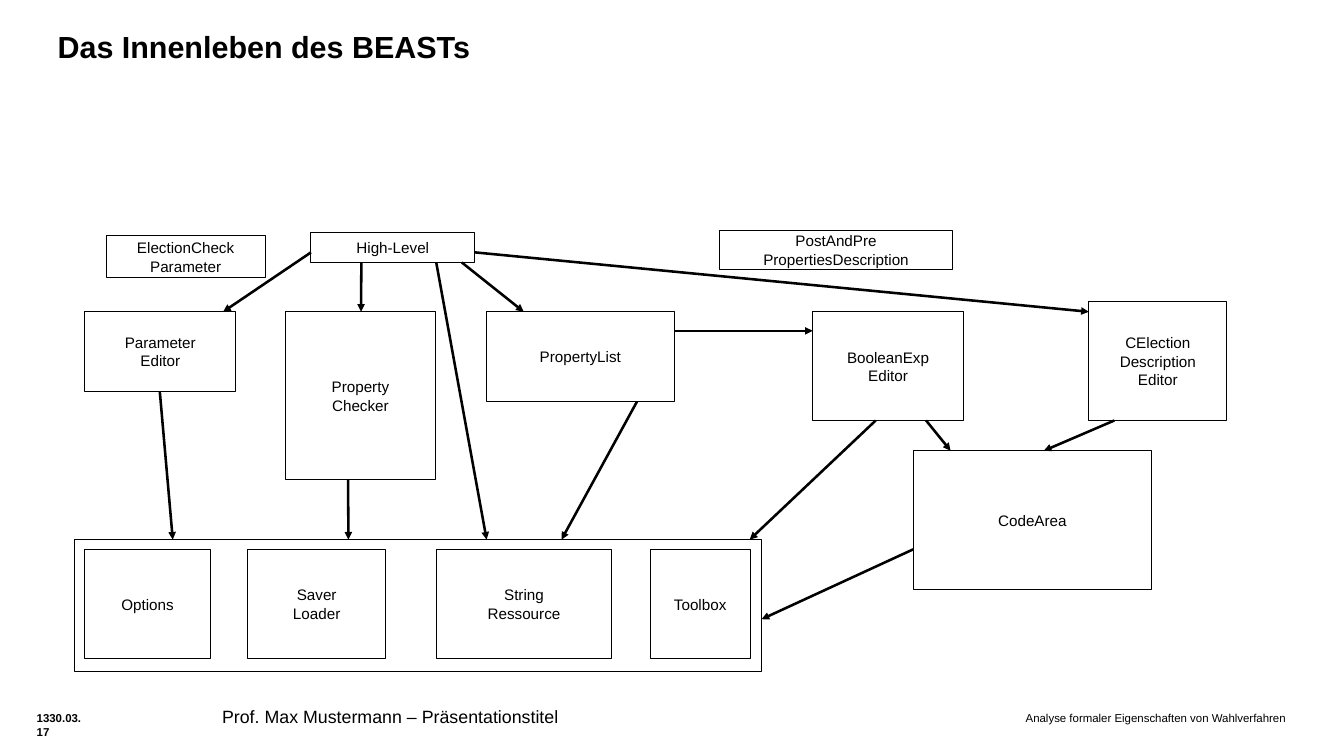
"""Build the slide showing the components of BEAST and their dependencies."""
from pptx import Presentation
from pptx.dml.color import RGBColor
from pptx.enum.shapes import MSO_CONNECTOR, MSO_SHAPE
from pptx.enum.text import MSO_ANCHOR, PP_ALIGN
from pptx.oxml.ns import qn
from pptx.util import Cm, Pt
from lxml import etree

BLACK = RGBColor(0x00, 0x00, 0x00)
WHITE = RGBColor(0xFF, 0xFF, 0xFF)
RECT = MSO_SHAPE.RECTANGLE
STRAIGHT = MSO_CONNECTOR.STRAIGHT
TOP, MIDDLE = MSO_ANCHOR.TOP, MSO_ANCHOR.MIDDLE
LEFT, CENTER, RIGHT = PP_ALIGN.LEFT, PP_ALIGN.CENTER, PP_ALIGN.RIGHT
FONT = "Arial"
ROW, TOOLS = 8.66, 15.27
FRAME = (2.06, 14.99, 19.1, 3.66)

LABELS = [
    ("Analyse formaler Eigenschaften von Wahlverfahren", (24.54, 19.76, 11.18, 1.09), 9, False, RIGHT),
    ("1330.03.17", (1.02, 19.76, 1.32, 0.66), 9, True, LEFT),
    ("Das Innenleben des BEASTs", (1.6, 0.79, 28.22, 1.95), 24, True, LEFT),
    ("Prof. Max Mustermann – Präsentationstitel", (6.17, 19.61, 17.04, 1.09), 14, False, LEFT),
]
BOXES = {
    "high": ("High-Level", (8.64, 6.45, 4.55, 0.84)),
    "parameter": ("Parameter\nEditor", (2.36, ROW, 4.19, 2.21)),
    "checker": ("Property\nChecker", (7.92, ROW, 4.19, 4.67)),
    "list": ("PropertyList", (13.51, ROW, 5.23, 2.49)),
    "options": ("Options", (2.36, TOOLS, 3.48, 3.02)),
    "saver": ("Saver\nLoader", (6.88, TOOLS, 3.84, 3.02)),
    "string": ("String\nRessource", (12.12, TOOLS, 4.88, 3.02)),
    "toolbox": ("Toolbox", (18.06, TOOLS, 2.79, 3.02)),
    "code": ("CodeArea", (25.37, 12.52, 6.63, 3.86)),
    "boolean": ("BooleanExp\nEditor", (22.58, ROW, 4.19, 3.02)),
    "election": ("CElection\nDescription\nEditor", (30.25, 8.38, 3.84, 3.3)),
    "check": ("ElectionCheck\nParameter", (2.95, 6.55, 4.42, 1.17)),
    "post": ("PostAndPre\nPropertiesDescription", (19.99, 6.4, 6.48, 1.09)),
}
ARROWS = [
    (("high", "left", 0.56), ("parameter", "top", 3.84)),
    (("high", "bottom", 1.4), ("checker", "top", 2.11)),
    (("high", "bottom", 4.19), ("list", "top", 1.04)),
    (("list", "right", 0.53), ("boolean", "left", 0.53)),
    (("high", "right", 0.56), ("election", "left", 0.28)),
    (("parameter", "bottom", 2.08), ("frame", "top", 2.74)),
    (("checker", "bottom", 1.75), ("frame", "top", 7.62)),
    (("list", "bottom", 4.19), ("frame", "top", 13.54)),
    (("boolean", "bottom", 1.75), ("frame", "top", 18.77)),
    (("boolean", "bottom", 3.15), ("code", "top", 1.04)),
    (("election", "bottom", 0.71), ("code", "top", 3.63)),
    (("code", "left", 2.74), ("frame", "right", 2.21)),
    (("high", "bottom", 3.48), ("frame", "top", 11.46)),
]


def write(tf, text, size, bold, align, anchor):
    tf.text = text
    tf.word_wrap = True
    tf.vertical_anchor = anchor
    for p in tf.paragraphs:
        p.alignment = align
        for r in p.runs:
            r.font.name, r.font.size, r.font.bold = FONT, Pt(size), bold
            r.font.color.rgb = BLACK


def add_label(s, text, area, size, bold, align):
    tf = s.shapes.add_textbox(*map(Cm, area)).text_frame
    tf.margin_left = tf.margin_top = tf.margin_right = tf.margin_bottom = 0
    write(tf, text, size, bold, align, TOP)


def hairline(line):
    line.color.rgb = BLACK
    line.width = Pt(0)


def add_box(s, area):
    sp = s.shapes.add_shape(RECT, *map(Cm, area))
    sp.shadow.inherit = False
    hairline(sp.line)
    return sp


def edge_point(name, side, offset):
    x, y, w, h = FRAME if name == "frame" else BOXES[name][1]
    points = {
        "left": (x, y + offset),
        "right": (x + w, y + offset),
        "top": (x + offset, y),
        "bottom": (x + offset, y + h),
    }
    return points[side]


def add_arrow(s, start, end):
    ends = edge_point(*start) + edge_point(*end)
    line = s.shapes.add_connector(STRAIGHT, *map(Cm, ends))
    hairline(line.line)
    etree.SubElement(line.line._get_or_add_ln(), qn("a:tailEnd"), type="triangle")
    etree.SubElement(line._element.spPr, qn("a:effectLst"))


def main():
    prs = Presentation()
    prs.slide_width, prs.slide_height = Cm(37.34), Cm(21)
    s = prs.slides.add_slide(prs.slide_layouts[6])
    for label in LABELS:
        add_label(s, *label)
    for text, area in BOXES.values():
        sp = add_box(s, area)
        sp.fill.solid()
        sp.fill.fore_color.rgb = WHITE
        write(sp.text_frame, text, 12, False, CENTER, MIDDLE)
    for start, end in ARROWS:
        add_arrow(s, start, end)
    add_box(s, FRAME).fill.background()
    prs.save("out.pptx")


if __name__ == "__main__":
    main()
